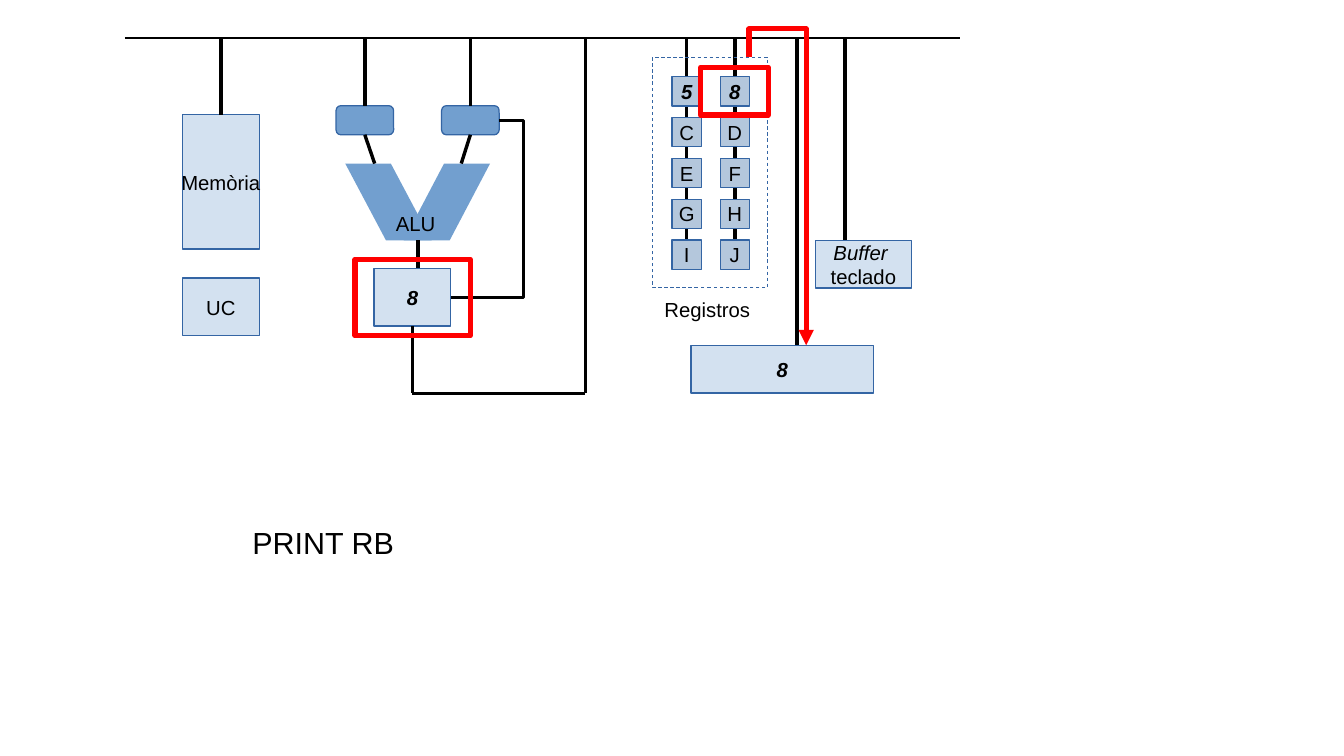
from dataclasses import dataclass

from lxml.etree import SubElement
from pptx import Presentation
from pptx.dml.color import RGBColor
from pptx.enum.dml import MSO_LINE
from pptx.enum.shapes import MSO_CONNECTOR, MSO_SHAPE
from pptx.enum.text import MSO_ANCHOR, MSO_AUTO_SIZE, PP_ALIGN
from pptx.oxml.ns import qn
from pptx.util import Pt

TOP, LEFT, BOTTOM, RIGHT = range(4)


@dataclass(frozen=True)
class Theme:
    """Colours, font and type sizes of the slide."""
    ink: RGBColor = RGBColor(0, 0, 0)
    unit: RGBColor = RGBColor(0x72, 0x9F, 0xCF)
    register: RGBColor = RGBColor(0xB4, 0xC7, 0xDC)
    border: RGBColor = RGBColor(0x34, 0x65, 0xA4)
    active: RGBColor = RGBColor(0xFF, 0, 0)
    font: str = "Arial"
    label: int = 12
    title: int = 18
    unit_alpha: int = 31000


@dataclass(frozen=True)
class Box:
    """A region in points."""
    left: float
    top: float
    width: float
    height: float

    def inner(self, dx, dy, width, height):
        """Return a box offset from this one's corner."""
        return Box(self.left + dx, self.top + dy, width, height)

    def point(self, dx, dy):
        """Return a point offset from this box's corner."""
        return self.left + dx, self.top + dy

    def lengths(self):
        """Return the box as slide lengths."""
        return [Pt(v) for v in (self.left, self.top, self.width, self.height)]


THEME = Theme()
VALUE = {"bold": True, "italic": True}


def apply(target, formats):
    """Set every attribute named in formats."""
    for attribute, value in formats.items():
        setattr(target, attribute, value)


def write(frame, lines, align=PP_ALIGN.CENTER, anchor=MSO_ANCHOR.MIDDLE, size=THEME.label):
    """Fill a text frame with (text, font formats) lines."""
    apply(frame, {"word_wrap": False, "auto_size": MSO_AUTO_SIZE.NONE, "vertical_anchor": anchor})
    for index, (text, formats) in enumerate(lines):
        paragraph = frame.add_paragraph() if index else frame.paragraphs[0]
        paragraph.alignment = align
        run = paragraph.add_run()
        run.text = text
        apply(run.font, {"name": THEME.font, "size": Pt(size), **formats})
        run.font.color.rgb = THEME.ink


def block(slide, box, fill=None, border=THEME.border, width=0, kind=MSO_SHAPE.RECTANGLE, lines=()):
    """Draw a shape with optional fill, border and centred text."""
    shape = slide.shapes.add_shape(kind, *box.lengths())
    shape.shadow.inherit = False
    if fill is None:
        shape.fill.background()
    else:
        shape.fill.solid()
        shape.fill.fore_color.rgb = fill
    if border is None:
        shape.line.fill.background()
    else:
        shape.line.color.rgb = border
        shape.line.width = Pt(width)
    if lines:
        write(shape.text_frame, lines)
    return shape


def unit(slide, box, *lines):
    """Draw a translucent unit of the machine."""
    shape = block(slide, box, THEME.unit, lines=lines)
    colour = shape.element.spPr.find(qn("a:solidFill"))[0]
    SubElement(colour, qn("a:alpha"), val=str(THEME.unit_alpha))
    return shape


def caption(slide, box, text):
    """Write a free-standing label."""
    frame = slide.shapes.add_textbox(*box.lengths()).text_frame
    write(frame, [(text, {})], PP_ALIGN.LEFT, MSO_ANCHOR.TOP)


def wire(slide, start, end, source=None, target=None, kind=MSO_CONNECTOR.STRAIGHT, width=0):
    """Draw a wire, joined to (shape, side) pairs where given."""
    line = slide.shapes.add_connector(kind, *(Pt(v) for v in (*start, *end)))
    line.line.color.rgb = THEME.ink
    line.line.width = Pt(width)
    SubElement(line.element.spPr, qn("a:effectLst"))
    if source:
        line.begin_connect(*source)
    if target:
        line.end_connect(*target)
    return line


def draw_memory(slide, box):
    """Draw the memory on the bus and the control unit below it."""
    memory = unit(slide, box.inner(0, 45.4, box.width, 79.3), ("Memòria", {}))
    unit(slide, box.inner(0, 141.8, box.width, 34), ("UC", {}))
    middle = box.width / 2
    wire(slide, box.point(middle, 0), box.point(middle, 45.4), target=(memory, TOP))


def draw_alu(slide, box):
    """Draw the ALU with its two inputs, its result and the way back to the bus."""
    result = unit(slide, box.inner(22.4, 136.1, 45.4, 34), ("8", VALUE))
    for dx, adjustment, mirrored in ((5.4, 0.53, True), (39.9, 0.525, False)):
        arm = block(slide, box.inner(dx, 74.2, 51, 45.4), THEME.unit, None, kind=MSO_SHAPE.PARALLELOGRAM)
        arm.adjustments[0] = adjustment
        if mirrored:
            arm.element.spPr.xfrm.set("flipV", "1")
    caption(slide, box.inner(28.2, 98.7, 37.4, 20.9), "ALU")
    wire(slide, box.point(48.3, 119.6), box.point(48.3, 136.1))

    for dx, entry in ((0, 22.8), (62.3, 73.9)):
        latch = block(slide, box.inner(dx, 40, 34, 17.2), THEME.unit, kind=MSO_SHAPE.ROUNDED_RECTANGLE)
        middle = dx + 17
        wire(slide, box.point(middle, 0), box.point(middle, 40), target=(latch, TOP))
        wire(slide, box.point(middle, 57.2), box.point(entry, 74.2), source=(latch, BOTTOM))

    feedback = wire(slide, box.point(96.3, 48.6), box.point(67.8, 153.1),
                    (latch, RIGHT), (result, RIGHT), MSO_CONNECTOR.ELBOW)
    feedback.element.spPr.prstGeom.rewrite_guides([("adj1", -50200)])

    exit_x = 45.1
    wire(slide, box.point(exit_x, 170.1), box.point(exit_x, box.height), source=(result, BOTTOM))
    wire(slide, box.point(exit_x, box.height), box.point(box.width, box.height))
    wire(slide, box.point(box.width, box.height), box.point(box.width, 0))


def draw_registers(slide, box):
    """Draw the register bank in two columns hung from the bus."""
    side, row_step, first_row = 17.3, 24.1, 22.9
    for dx, names in ((11.6, "5CEGI"), (40, "8DFHJ")):
        middle = dx + side / 2
        wire(slide, box.point(middle, 0), box.point(middle, 136.1))
        for row, name in enumerate(names):
            cell = box.inner(dx, first_row + row * row_step, side, side)
            block(slide, cell, THEME.register, lines=[(name, {} if row else VALUE)])
    bank = block(slide, box.inner(0, 11.5, box.width, 135.9), width=0.5)
    bank.line.dash_style = MSO_LINE.DASH
    caption(slide, box.inner(0, 149.8, 64.8, 20.9), "Registros")


def draw_devices(slide, box):
    """Draw the output device and the keyboard buffer on the bus."""
    unit(slide, box.inner(0, 181.5, 107.8, 28.2), ("8", VALUE))
    unit(slide, box.inner(73.3, 119.5, 56.9, 28.2), ("Buffer ", {"italic": True}), ("teclado", {}))
    for dx, depth in ((62.5, 181.5), (90.8, 119.5)):
        wire(slide, box.point(dx, 0), box.point(dx, depth))


def draw_transfer(slide, box):
    """Mark the values in use and the route from register to output."""
    for spot in (box.inner(0, 136, 68, 45.2), box.inner(204.1, 22.6, 39.9, 28.2)):
        block(slide, spot, border=THEME.active, width=3)
    start, *corners = [box.point(dx, dy) for dx, dy in
                       ((232.6, 16.5), (232.6, 0), (box.width, 0), (box.width, box.height))]
    builder = slide.shapes.build_freeform(*(Pt(v) for v in start), scale=1.0)
    builder.add_line_segments([(Pt(x), Pt(y)) for x, y in corners], close=False)
    route = builder.convert_to_shape()
    route.shadow.inherit = False
    route.fill.background()
    route.line.color.rgb = THEME.active
    route.line.width = Pt(3)
    SubElement(route.line._get_or_add_ln(), qn("a:tailEnd"), type="triangle")


def draw_title(slide, box):
    """Place the instruction in the title placeholder."""
    title = slide.shapes.title
    apply(title, dict(zip(("left", "top", "width", "height"), box.lengths())))
    write(title.text_frame, [("PRINT RB", {})], PP_ALIGN.LEFT, MSO_ANCHOR.TOP, THEME.title)


def main():
    """Build and save the slide."""
    deck = Presentation()
    apply(deck, {"slide_width": Pt(793.44), "slide_height": Pt(446.4)})
    slide = deck.slides.add_slide(deck.slide_layouts[5])
    bus = 22.4
    draw_title(slide, Box(141.8, 306, 103, 27.4))
    wire(slide, (73.7, bus), (566.6, bus), width=1.5)
    draw_memory(slide, Box(107.7, bus, 45.4, 176))
    draw_alu(slide, Box(198.4, bus, 147.2, 209.8))
    draw_registers(slide, Box(385.2, bus, 68, 170))
    draw_devices(slide, Box(408, bus, 130, 210))
    draw_transfer(slide, Box(209.6, 17.1, 266.3, 186.8))
    deck.save("out.pptx")


if __name__ == "__main__":
    main()
